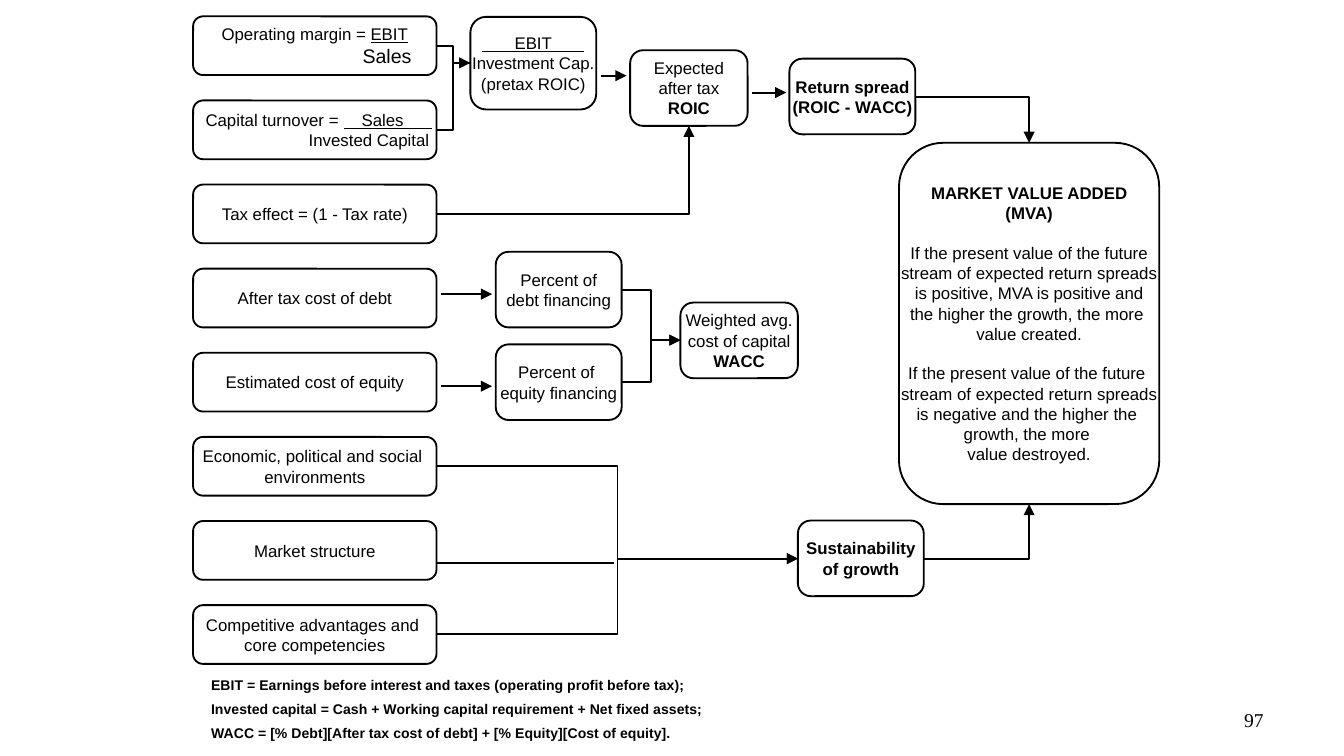
import dataclasses
import pptx
import pptx.dml.color
import pptx.enum.shapes
import pptx.enum.text
import pptx.oxml
import pptx.oxml.ns
import pptx.util

Cm = pptx.util.Cm
Pt = pptx.util.Pt
Align = pptx.enum.text.PP_ALIGN
Anchor = pptx.enum.text.MSO_ANCHOR
Shape = pptx.enum.shapes.MSO_SHAPE
Link = pptx.enum.shapes.MSO_CONNECTOR
RGB = pptx.dml.color.RGBColor


@dataclasses.dataclass
class Theme:
    ink: RGB = RGB(0, 0, 0)
    paper: RGB = RGB(255, 255, 255)
    font: str = "Arial"
    serif: str = "Times New Roman"
    body: float = 9
    large: float = 10.5
    small: float = 7.5
    line: float = 1
    thin: float = 0.6
    round: float = 0.17


THEME = Theme()


@dataclasses.dataclass
class Line:
    runs: list
    align: Align = Align.CENTER
    left: float = 0
    tab: float = 0
    before: float = 0


def put(para, text, size=THEME.body, font=THEME.font, bold=False, under=False):
    run = para.add_run()
    run.text = text
    run.font.size = Pt(size)
    run.font.name = font
    run.font.bold = bold
    run.font.underline = under
    run.font.color.rgb = THEME.ink


def row(text, **style):
    return Line([(text, style)])


def child(parent, tag):
    item = pptx.oxml.parse_xml(f"<a:{tag} {pptx.oxml.ns.nsdecls('a')}/>")
    parent.append(item)
    return item


class Chart:
    def __init__(self, slide, theme):
        self.shapes = slide.shapes
        self.theme = theme

    def fill(self, frame, lines):
        for index, line in enumerate(lines):
            para = frame.paragraphs[0] if index == 0 else frame.add_paragraph()
            para.alignment = line.align
            if line.before:
                para.space_before = Pt(line.before)
            props = para._p.get_or_add_pPr()
            if line.left:
                props.set("marL", str(Cm(line.left)))
            if line.tab:
                tab = child(child(props, "tabLst"), "tab")
                tab.set("pos", str(Cm(line.tab)))
                tab.set("algn", "l")
            for text, style in line.runs:
                put(para, text, **style)

    def pad(self, frame):
        frame.margin_left = frame.margin_right = Cm(0.18)
        frame.margin_top = frame.margin_bottom = Cm(0.1)

    def box(self, left, top, width, height, lines):
        shape = self.shapes.add_shape(
            Shape.ROUNDED_RECTANGLE, Cm(left), Cm(top), Cm(width), Cm(height))
        shape.adjustments[0] = self.theme.round
        shape.shadow.inherit = False
        shape.fill.solid()
        shape.fill.fore_color.rgb = self.theme.paper
        self.stroke(shape)
        frame = shape.text_frame
        self.pad(frame)
        frame.word_wrap = False
        frame.vertical_anchor = Anchor.MIDDLE
        self.fill(frame, lines)

    def text(self, left, top, width, height, lines, anchor=Anchor.TOP):
        frame = self.shapes.add_textbox(
            Cm(left), Cm(top), Cm(width), Cm(height)).text_frame
        self.pad(frame)
        frame.word_wrap = True
        frame.vertical_anchor = anchor
        self.fill(frame, lines)

    def stroke(self, shape, arrow=False, width=THEME.line):
        shape.line.color.rgb = self.theme.ink
        shape.line.width = Pt(width)
        if arrow:
            child(shape.line._get_or_add_ln(), "tailEnd").set("type", "triangle")

    def line(self, x, y, end, arrow=True, width=THEME.line):
        link = self.shapes.add_connector(
            Link.STRAIGHT, Cm(x), Cm(y), Cm(end), Cm(y))
        self.stroke(link, arrow, width)
        child(link._element.spPr, "effectLst")

    def route(self, points, arrow=True):
        start, *rest = [(Cm(x), Cm(y)) for x, y in points]
        form = self.shapes.build_freeform(*start)
        form.add_line_segments(rest, close=False)
        shape = form.convert_to_shape()
        shape.shadow.inherit = False
        shape.fill.background()
        self.stroke(shape, arrow)


def main():
    deck = pptx.Presentation()
    deck.slide_width, deck.slide_height = Cm(25.4), Cm(14.29)
    chart = Chart(deck.slides.add_slide(deck.slide_layouts[6]), THEME)
    bold, under = {"bold": True}, {"under": True}
    left = Align.LEFT

    chart.text(18.21, 13.23, 5.85, 0.76, [
        Line([("97", {"size": THEME.large, "font": THEME.serif})], Align.RIGHT),
    ], Anchor.MIDDLE)

    drivers = [
        [Line([("Operating margin = ", {}), ("EBIT", under)]),
         Line([("Sales", {"size": THEME.large})], left, 2.97)],
        [Line([("Capital turnover =\tSales", {})], left, tab=2.95),
         Line([("Invested Capital", {})], left, 1.95)],
        [row("Tax effect = (1 - Tax rate)")],
        [row("After tax cost of debt")],
        [row("Estimated cost of equity")],
        [row("Economic, political and social "), row("environments")],
        [row("Market structure")],
        [row("Competitive advantages and "), row("core competencies")],
    ]
    for index, lines in enumerate(drivers):
        chart.box(3.65, 0.31 + 1.59 * index, 4.6, 1.11, lines)

    chart.box(8.89, 0.32, 2.38, 1.75, [
        row("EBIT"), row("Investment Cap."), row("(pretax ROIC)")])
    chart.box(11.91, 0.95, 2.22, 1.43, [
        row("Expected"), row("after tax"), row("ROIC", **bold)])
    chart.box(12.86, 5.72, 2.22, 1.43, [
        row("Weighted avg."), row("cost of capital"), row("WACC", **bold)])

    for x, y, end in [(6.5, 2.43, 8.16), (9.11, 0.98, 11.04)]:
        chart.line(x, y, end, arrow=False, width=THEME.thin)

    pairs = [
        (9.37, 6.51, "Percent of ", "equity financing", False),
        (9.37, 4.76, "Percent of", "debt financing", False),
        (15.08, 9.84, "Sustainability", "of growth", True),
        (14.92, 1.11, "Return spread", "(ROIC - WACC)", True),
    ]
    for x, y, first, second, heavy in pairs:
        chart.box(x, y, 2.38, 1.43,
                  [row(first, bold=heavy), row(second, bold=heavy)])

    value = [row("MARKET VALUE ADDED", **bold), row("(MVA)", **bold)]
    cases = [
        ["If the present value of the future",
         "stream of expected return spreads",
         "is positive, MVA is positive and",
         "the higher the growth, the more ",
         "value created."],
        ["If the present value of the future ",
         "stream of expected return spreads",
         "is negative and the higher the ",
         "growth, the more ",
         "value destroyed."],
    ]
    for case in cases:
        lines = [row(text) for text in case]
        lines[0].before = 10.35
        value += lines
    chart.box(16.99, 2.7, 4.92, 6.83, value)

    notes = [
        "EBIT = Earnings before interest and taxes (operating profit before tax);",
        "Invested capital = Cash + Working capital requirement + Net fixed assets;",
        "WACC = [% Debt][After tax cost of debt] + [% Equity][Cost of equity].",
    ]
    chart.text(3.81, 12.68, 9.85, 1.47, [
        Line([(text, {"size": THEME.small, "bold": True})], left,
             before=4 if index else 0)
        for index, text in enumerate(notes)])

    joins = [
        (8.25, 0.87, 8.57, 8.89, 1.19, False),
        (8.25, 2.46, 8.57, 8.89, 1.19, True),
        (11.75, 5.48, 12.3, 12.86, 6.43, True),
        (11.75, 7.22, 12.3, 12.86, 6.43, True),
        (8.25, 8.81, 11.67, 15.08, 10.56, True),
        (8.25, 11.99, 11.67, 15.08, 10.56, True),
    ]
    for x, y, mid, end, level, arrow in joins:
        chart.route([(x, y), (mid, y), (mid, level), (end, level)], arrow)

    bends = [
        (17.3, 1.83, 19.45, 2.7),
        (17.46, 10.56, 19.45, 9.53),
        (8.25, 4.05, 13.02, 2.38),
    ]
    for x, y, end, level in bends:
        chart.route([(x, y), (end, y), (end, level)])

    for x, y, end in [(11.35, 1.43, 11.84), (14.22, 1.75, 14.86),
                      (8.33, 5.56, 9.3), (8.33, 7.3, 9.3)]:
        chart.line(x, y, end)
    chart.line(11.61, 10.64, 8.25, arrow=False)

    deck.save("out.pptx")


if __name__ == "__main__":
    main()
